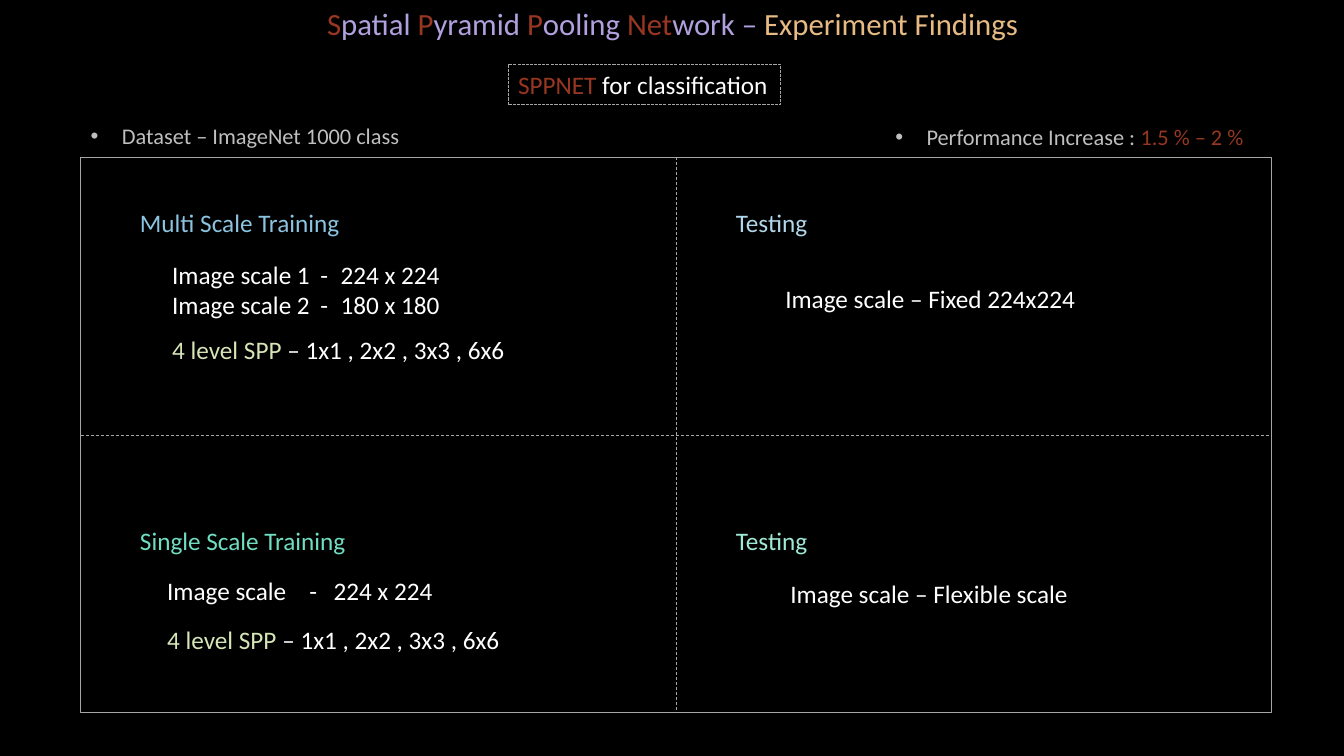
from dataclasses import dataclass

from lxml import etree
from pptx import Presentation
from pptx.dml.color import RGBColor
from pptx.enum.dml import MSO_LINE
from pptx.enum.shapes import MSO_CONNECTOR, MSO_SHAPE
from pptx.enum.text import MSO_ANCHOR, MSO_AUTO_SIZE, PP_ALIGN
from pptx.oxml.ns import qn
from pptx.util import Inches, Pt

CENTER, LEFT = PP_ALIGN.CENTER, PP_ALIGN.LEFT
TOP = MSO_ANCHOR.TOP
GROW = MSO_AUTO_SIZE.SHAPE_TO_FIT_TEXT
RECTANGLE = MSO_SHAPE.RECTANGLE
STRAIGHT = MSO_CONNECTOR.STRAIGHT
DASH, SHORT_DASH = MSO_LINE.DASH, MSO_LINE.SQUARE_DOT
TOP_SIDE, LEFT_SIDE, BOTTOM_SIDE, RIGHT_SIDE = range(4)
TWO_CONTENT_LAYOUT = 3


@dataclass(frozen=True)
class Theme:
    font: str = "Calibri"
    title_size: int = 22
    text_size: int = 18
    list_size: int = 16
    background: str = "000000"
    text: str = "FFFFFF"
    muted: str = "BFBFBF"
    line: str = "A6A6A6"
    accent: str = "973721"
    lilac: str = "B0A0DD"
    sand: str = "E6BA82"
    lime: str = "D5E5B6"
    blue: str = "8BC4E0"
    pale_blue: str = "B1D7EB"
    green: str = "70DEC1"
    pale_green: str = "A0E9D6"


class SlideBuilder:
    def __init__(self, slide, theme):
        self.slide = slide
        self.theme = theme
        slide.background.fill.solid()
        slide.background.fill.fore_color.rgb = RGBColor.from_string(theme.background)

    def fill_text(self, shape, paragraphs, size, align=LEFT, wrap=True):
        """Fill a shape with paragraphs, each a list of (text, colour) runs."""
        frame = shape.text_frame
        frame.word_wrap = wrap
        frame.auto_size = GROW
        frame.vertical_anchor = TOP
        for index, runs in enumerate(paragraphs):
            para = frame.add_paragraph() if index else frame.paragraphs[0]
            para.alignment = align
            para.space_before = Pt(0)
            for text, color in runs:
                span = para.add_run()
                span.text = text
                span.font.name = self.theme.font
                span.font.size = Pt(size)
                span.font.color.rgb = RGBColor.from_string(color)

    def place(self, shape, left, top, width, height):
        shape.left, shape.top = Inches(left), Inches(top)
        shape.width, shape.height = Inches(width), Inches(height)

    def title(self, area, runs):
        title = self.slide.shapes.title
        self.place(title, *area)
        self.fill_text(title, [runs], self.theme.title_size, CENTER)

    def bullet(self, index, area, runs):
        body = self.slide.placeholders[index]
        self.place(body, *area)
        properties = body.text_frame.paragraphs[0]._p.get_or_add_pPr()
        properties.set("marL", str(Inches(0.31)))
        properties.set("indent", str(-Inches(0.31)))
        etree.SubElement(properties, qn("a:buFont"), typeface="Arial")
        etree.SubElement(properties, qn("a:buChar"), char="•")
        self.fill_text(body, [runs], self.theme.list_size)

    def text(self, area, *paragraphs, tabs=()):
        box = self.slide.shapes.add_textbox(*map(Inches, area))
        self.fill_text(box, paragraphs, self.theme.text_size, wrap=bool(tabs))
        if tabs:
            for para in box.text_frame.paragraphs:
                stops = etree.SubElement(para._p.get_or_add_pPr(), qn("a:tabLst"))
                for stop in tabs:
                    etree.SubElement(stops, qn("a:tab"), pos=str(Inches(stop)), algn="l")

    def style_line(self, line, width, dash=None):
        line.color.rgb = RGBColor.from_string(self.theme.line)
        line.width = Pt(width)
        if dash is not None:
            line.dash_style = dash

    def rectangle(self, area, width, dash=None):
        box = self.slide.shapes.add_shape(RECTANGLE, *map(Inches, area))
        box.shadow.inherit = False
        box.fill.background()
        self.style_line(box.line, width, dash)
        return box

    def divider(self, frame, first_side, last_side):
        """Join the middles of two opposite sides of the frame."""
        line = self.slide.shapes.add_connector(STRAIGHT, 0, 0, 0, 0)
        line.begin_connect(frame, first_side)
        line.end_connect(frame, last_side)
        self.style_line(line.line, 0.5, DASH)
        etree.SubElement(line._element.spPr, qn("a:effectLst"))


def main():
    theme = Theme()
    deck = Presentation()
    deck.slide_width, deck.slide_height = Inches(13.33), Inches(7.5)
    page = SlideBuilder(
        deck.slides.add_slide(deck.slide_layouts[TWO_CONTENT_LAYOUT]), theme)

    page.title((2.48, 0, 8.38, 0.47), [
        ("S", theme.accent), ("patial ", theme.lilac),
        ("P", theme.accent), ("yramid ", theme.lilac),
        ("P", theme.accent), ("ooling ", theme.lilac),
        ("Net", theme.accent), ("work – ", theme.lilac),
        ("Experiment Findings", theme.sand),
    ])
    subject = page.rectangle((5.04, 0.64, 2.7, 0.4), 0.75, SHORT_DASH)
    page.fill_text(subject, [[("SPPNET", theme.accent), (" for classification", theme.text)]],
                   theme.text_size, wrap=False)
    page.bullet(1, (0.8, 1.16, 3.88, 0.37),
                [("Dataset – ImageNet 1000 class", theme.muted)])
    page.bullet(2, (8.78, 1.17, 3.88, 0.37),
                [("Performance Increase : ", theme.muted), ("1.5 % – 2 %", theme.accent)])

    frame = page.rectangle((0.8, 1.56, 11.81, 5.51), 1)
    page.divider(frame, TOP_SIDE, BOTTOM_SIDE)
    page.divider(frame, LEFT_SIDE, RIGHT_SIDE)

    labels = [
        (1.29, 2.01, 2.2, "Multi Scale Training", theme.blue),
        (1.29, 5.16, 2.27, "Single Scale Training", theme.green),
        (7.2, 2.01, 0.92, "Testing", theme.pale_blue),
        (7.2, 5.16, 0.92, "Testing", theme.pale_green),
        (7.69, 2.76, 3.11, "Image scale – Fixed 224x224", theme.text),
        (7.74, 5.69, 2.98, "Image scale – Flexible scale", theme.text),
    ]
    for left, top, width, text, color in labels:
        page.text((left, top, width, 0.4), [(text, color)])

    page.text((1.61, 2.52, 2.94, 0.71),
              [("Image scale 1\t-\t224 x 224", theme.text)],
              [("Image scale 2\t-\t180 x 180", theme.text)], tabs=(1.47, 1.67))
    page.text((1.56, 5.66, 2.94, 0.4),
              [("Image scale\t-\t224 x 224", theme.text)], tabs=(1.41, 1.65))
    for left, top in ((1.61, 3.27), (1.56, 6.14)):
        page.text((left, top, 3.54, 0.4),
                  [("4 level SPP ", theme.lime), ("– 1x1 , 2x2 , 3x3 , 6x6", theme.text)])

    deck.save("out.pptx")


if __name__ == "__main__":
    main()
